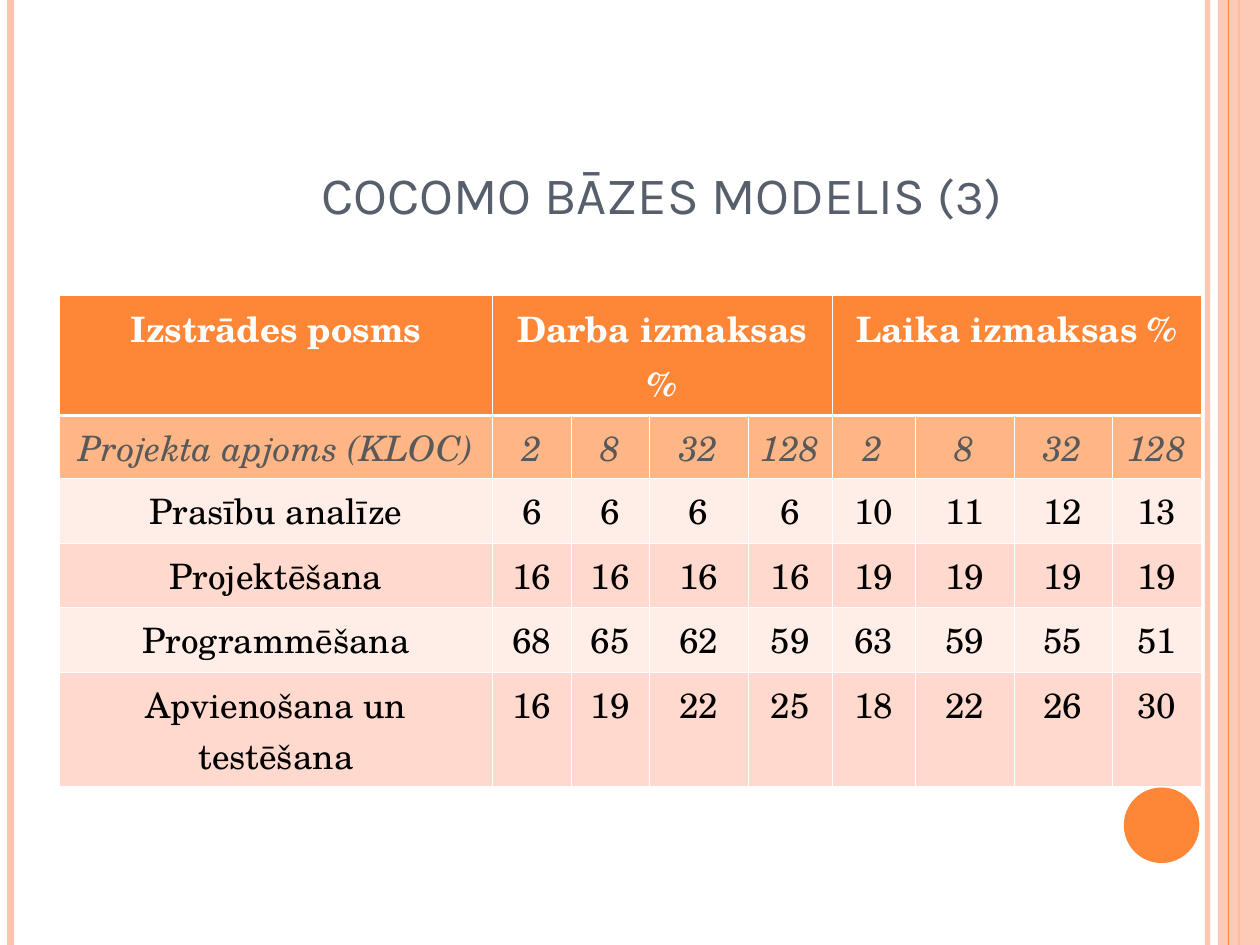
from dataclasses import dataclass
from itertools import product

from lxml.etree import SubElement
from pptx import Presentation
from pptx.dml.color import RGBColor as RGB
from pptx.enum.shapes import MSO_CONNECTOR as Connector, MSO_SHAPE as Shape
from pptx.enum.text import MSO_ANCHOR as Anchor, PP_ALIGN as Align
from pptx.oxml.ns import qn
from pptx.util import Pt


@dataclass(frozen=True)
class Theme:
    """Colours, fonts and type sizes of the slide."""
    accent: str = "FE8637"
    peach: str = "FEC3AE"
    white: str = "FFFFFF"
    title: str = "575F6D"
    subhead: str = "FEB687"
    subhead_text: str = "595959"
    body_text: str = "000000"
    bands: tuple = ("FFEDE8", "FFD9CE")
    title_font: str = "Karla"
    table_font: str = "TeX Gyre Schola"
    title_size: float = 30
    number_size: float = 28
    table_size: float = 20
    thin: float = 0.45
    thick: float = 1.47


THEME = Theme()
COLUMNS = (247.5, 45, 44.5, 56.5, 48, 47.5, 56.5, 56, 51)
ROWS = (68.6, 36.2, 36.8, 36.8, 36.8, 65.4)
SIZES = (2, 8, 32, 128)
COSTS = (
    ("Izstrādes posms", "Darba izmaksas %", "", "", "", "Laika izmaksas %", "", "", ""),
    ("Projekta apjoms (KLOC)", *SIZES, *SIZES),
    ("Prasību analīze", 6, 6, 6, 6, 10, 11, 12, 13),
    ("Projektēšana", 16, 16, 16, 16, 19, 19, 19, 19),
    ("Programmēšana", 68, 65, 62, 59, 63, 59, 55, 51),
    ("Apvienošana un testēšana", 16, 19, 22, 25, 18, 22, 26, 30),
)


def set_alpha(fill_parent, percent):
    """Make the solid fill found below an element partly transparent."""
    color = fill_parent.find(".//" + qn("a:srgbClr"))
    SubElement(color, qn("a:alpha")).set("val", str(percent * 1000))


def add_rule(slide, x, top, height, color, weight, alpha=100):
    """Draw one vertical rule."""
    rule = slide.shapes.add_connector(
        Connector.STRAIGHT, Pt(x), Pt(top), Pt(x), Pt(top + height))
    rule.line.color.rgb = RGB.from_string(color)
    rule.line.width = Pt(weight)
    properties = rule.line._get_or_add_ln().getparent()
    SubElement(properties, qn("a:effectLst"))
    if alpha < 100:
        set_alpha(properties, alpha)


def add_plain_shape(slide, kind, box, color):
    """Draw a filled shape without outline or shadow."""
    shape = slide.shapes.add_shape(kind, *map(Pt, box))
    shape.shadow.inherit = False
    shape.fill.solid()
    shape.fill.fore_color.rgb = RGB.from_string(color)
    shape.line.fill.background()
    return shape


def add_frame(slide, box):
    """Draw the rules, the side band and the disc around the page."""
    left, top, width, height = box
    right = left + width
    add_rule(slide, right - 30, top, height, THEME.peach, 3, 93)
    add_rule(slide, left + 6, top, height, THEME.peach, 4.5)
    add_rule(slide, right - 12, top, height, THEME.accent, 1.5)
    band = add_plain_shape(slide, Shape.RECTANGLE, (right - 24, top, 24, height), THEME.peach)
    set_alpha(band.fill._xPr, 87)
    add_rule(slide, right - 18, top, height, THEME.accent, 0.75)
    add_plain_shape(slide, Shape.OVAL, (right - 77.8, top + 450, 43.2, 43.2), THEME.accent)


def add_title(slide, box):
    """Write the heading at the bottom of its box."""
    frame = slide.shapes.add_textbox(*map(Pt, box)).text_frame
    frame.word_wrap = True
    frame.vertical_anchor = Anchor.BOTTOM
    heading = frame.paragraphs[0]
    heading.alignment = Align.CENTER
    heading.font.name = THEME.title_font
    heading.font.color.rgb = RGB.from_string(THEME.title)
    for words, size in (("COCOMO BĀZES MODELIS ", THEME.title_size), ("(3)", THEME.number_size)):
        run = heading.add_run()
        run.text = words
        run.font.size = Pt(size)


def set_borders(cell, top, bottom):
    """Give a cell white borders, placed ahead of its fill."""
    properties = cell._tc.get_or_add_tcPr()
    weights = {"a:lnL": THEME.thin, "a:lnR": THEME.thin, "a:lnT": top, "a:lnB": bottom}
    for side, weight in weights.items():
        border = SubElement(properties, qn(side), w=str(int(Pt(weight))))
        paint = SubElement(border, qn("a:solidFill"))
        SubElement(paint, qn("a:srgbClr"), val=THEME.white)


def row_style(row):
    """Return fill, text colour, bold and italic for a table row."""
    if row == 0:
        return THEME.accent, THEME.white, True, False
    if row == 1:
        return THEME.subhead, THEME.subhead_text, False, True
    return THEME.bands[row % 2], THEME.body_text, False, False


def add_cost_table(slide, box):
    """Build the table of work and time costs by phase."""
    table = slide.shapes.add_table(len(ROWS), len(COLUMNS), *map(Pt, box)).table
    for column, width in zip(table.columns, COLUMNS):
        column.width = Pt(width)
    for row, height in zip(table.rows, ROWS):
        row.height = Pt(height)
    for first in (1, 5):
        table.cell(0, first).merge(table.cell(0, first + 3))
    for row, column in product(range(len(ROWS)), range(len(COLUMNS))):
        cell = table.cell(row, column)
        fill, color, bold, italic = row_style(row)
        set_borders(cell, THEME.thick if row == 1 else THEME.thin,
                    THEME.thick if row == 0 else THEME.thin)
        cell.fill.solid()
        cell.fill.fore_color.rgb = RGB.from_string(fill)
        if cell.is_spanned:
            continue
        cell.text = str(COSTS[row][column])
        entry = cell.text_frame.paragraphs[0]
        entry.alignment = Align.CENTER
        entry.font.name = THEME.table_font
        entry.font.size = Pt(THEME.table_size)
        entry.font.bold, entry.font.italic = bold, italic
        entry.font.color.rgb = RGB.from_string(color)


def main():
    """Build and save the slide."""
    deck = Presentation()
    deck.slide_width, deck.slide_height = Pt(720), Pt(540)
    slide = deck.slides.add_slide(deck.slide_layouts[6])
    add_frame(slide, (0, 0, 720, 540))
    add_title(slide, (72, 42, 612, 90))
    add_cost_table(slide, (34, 168.8, sum(COLUMNS), sum(ROWS)))
    deck.save("out.pptx")


if __name__ == "__main__":
    main()
